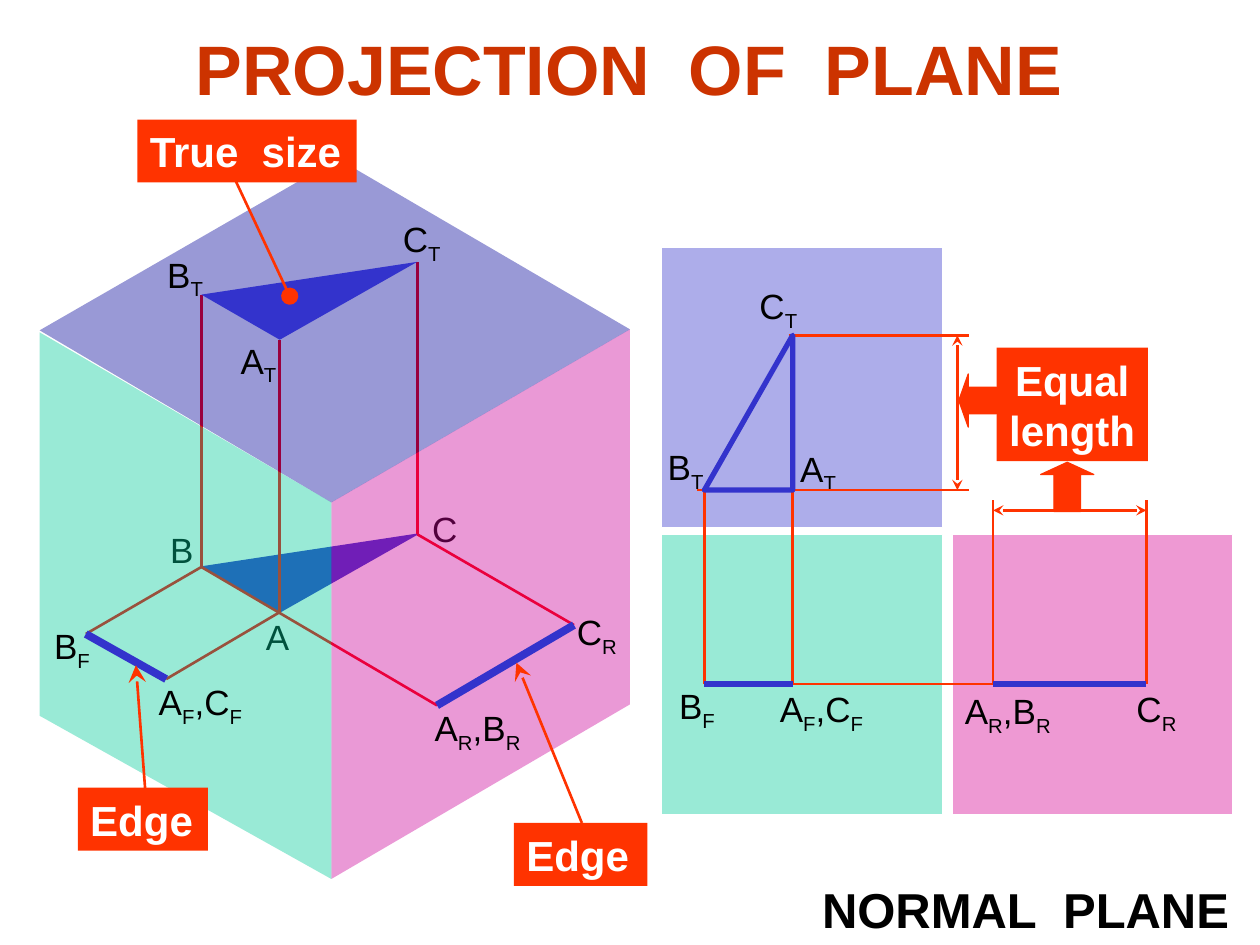
"""Build a slide on the projection of a normal plane."""
from itertools import groupby

from lxml import etree
from pptx import Presentation
from pptx import util as u
from pptx.dml.color import RGBColor
from pptx.enum import shapes, text
from pptx.oxml.ns import qn

COLORS = {
    "title": "CC3300", "accent": "FF3300", "plane": "3333CC", "projector": "FF0000",
    "black": "000000", "white": "FFFFFF", "cube_top": "000099", "cube_right": "CC0099",
    "front": "00CC99", "side": "D60093",
}


def rgb(name):
    """Return the named colour."""
    return RGBColor.from_string(COLORS[name])


def paint(sp, fill=None, line=None, width=0.75, opacity=None):
    """Set fill, outline and opacity in percent, without shadow."""
    sp.shadow.inherit = False
    if fill:
        sp.fill.solid()
        sp.fill.fore_color.rgb = rgb(fill)
    else:
        sp.fill.background()
    if opacity:
        clr = sp.fill._xPr.find(qn("a:solidFill"))[0]
        etree.SubElement(clr, qn("a:alpha")).set("val", str(opacity * 1000))
    if line:
        sp.line.color.rgb = rgb(line)
        sp.line.width = u.Pt(width)
    else:
        sp.line.fill.background()


def style(p, size, color, bold=False, align=None):
    """Format a whole paragraph."""
    p.alignment = align
    p.font.name = "Arial"
    p.font.size = u.Pt(size)
    p.font.bold = bold
    p.font.color.rgb = rgb(color)


class Region:
    """Draw on a slide in centimetres from a region's top left corner."""

    def __init__(self, s, left, top):
        self.shapes, self.left, self.top = s.shapes, left, top

    def at(self, x, y):
        """Return the slide position of a point in the region."""
        return u.Cm(self.left + x), u.Cm(self.top + y)

    def line(self, start, end, color="accent", width=1.5, head=None, tail=None, size="med"):
        """Draw a straight line with optional ends."""
        c = self.shapes.add_connector(shapes.MSO_CONNECTOR.STRAIGHT, *self.at(*start), *self.at(*end))
        c.line.color.rgb = rgb(color)
        c.line.width = u.Pt(width)
        ln = c.line._get_or_add_ln()
        for tag, kind in (("a:headEnd", head), ("a:tailEnd", tail)):
            if kind:
                etree.SubElement(ln, qn(tag), type=kind, w=size, len=size)
        etree.SubElement(c._element.spPr, qn("a:effectLst"))

    def polygon(self, points, **look):
        """Draw a closed outline."""
        first, *rest = [self.at(*pt) for pt in points]
        fb = self.shapes.build_freeform(*first, scale=1.0)
        fb.add_line_segments(rest, close=True)
        paint(fb.convert_to_shape(), **look)

    def block(self, kind, x, y, w, h, **look):
        """Draw a preset shape."""
        sp = self.shapes.add_shape(kind, *self.at(x, y), u.Cm(w), u.Cm(h))
        paint(sp, **look)
        return sp

    def label(self, name, x, y):
        """Write a point name, with its view letters as subscripts."""
        w = {1: 1.1, 2: 1.5}.get(len(name), 2.6)
        tf = self.shapes.add_textbox(*self.at(x, y), u.Cm(w), u.Cm(1.2)).text_frame
        tf.word_wrap = True
        p = tf.paragraphs[0]
        style(p, 20, "black", align=text.PP_ALIGN.LEFT)
        for is_view, letters in groupby(name, key=lambda ch: ch in "FRT"):
            r = p.add_run()
            r.text = "".join(letters)
            if is_view:
                r._r.get_or_add_rPr().set("baseline", "-25000")

    def labels(self, places):
        """Write several point names."""
        for name, x, y in places:
            self.label(name, x, y)

    def callout(self, lines, x, y, w, h=1.27, align=text.PP_ALIGN.LEFT):
        """Draw a red box with bold white text."""
        sp = self.block(shapes.MSO_SHAPE.RECTANGLE, x, y, w, h, fill="accent")
        tf = sp.text_frame
        tf.word_wrap = False
        tf.text = "\n".join(lines)
        for p in tf.paragraphs:
            style(p, 24, "white", True, align)


def draw_cube(s, left, top):
    """Draw the projection box with the plane and its three projections."""
    g = Region(s, left, top)
    rise = 5.49
    a, b, c = (4.84, 9.14), (3.26, 8.23), (7.61, 7.57)
    a_t, b_t, c_t = [(x, y - rise) for x, y in (a, b, c)]
    a_f, b_f, a_r, c_r = (2.55, 10.49), (0.93, 9.58), (8.01, 11.02), (10.77, 9.4)
    center, apex, base = (5.88, 6.93), (6.01, 0), (5.88, 14.52)
    west, east = (0, 3.46), (11.9, 3.44)

    g.polygon([b, a, c], fill="plane", line="plane")
    g.labels([("B", 2.38, 7.32), ("C", 7.66, 6.91), ("A", 4.31, 9.09)])
    for start, end in ((c, c_t), (a, a_f), (b, b_t), (b, a_r), (c, c_r), (b, b_f), (a, a_t)):
        g.line(start, end, "projector")
    for points, color in (
        ([center, east, (11.9, 11), base], "cube_right"),
        ([west, center, east, apex], "cube_top"),
        ([(0, 3.5), center, base, (0, 11.23)], "front"),
    ):
        g.polygon(points, fill=color, opacity=40)

    g.polygon([b_t, a_t, c_t], fill="plane")
    g.line(c_r, a_r, "plane", 4.5)
    g.line(a_f, b_f, "plane", 4.5)
    g.labels([
        ("CR", 10.58, 8.99), ("AR,BR", 7.71, 10.92), ("AF,CF", 2.15, 10.39), ("BF", 0.04, 9.27),
        ("AT", 3.8, 3.51), ("BT", 2.32, 1.78), ("CT", 7.07, 1.07),
    ])
    g.callout(["Edge"], 9.56, 13.39, 2.69)
    g.callout(["Edge"], 0.77, 12.68, 2.62)
    g.callout(["True  size"], 1.97, -0.79, 4.42)
    g.line((10.93, 13.39), (9.61, 10.16), tail="stealth", size="lg")
    g.line((2.15, 13.03), (1.94, 10.21), tail="stealth", size="lg")
    g.line((3.92, 0.38), (5.04, 2.77), tail="oval", size="lg")


def draw_views(s, left, top):
    """Draw the top, front and side views with their equal lengths."""
    g = Region(s, left, top)
    side, step_x, step_y = 5.66, 5.85, 5.79
    x_b, x_a, x_ar, x_cr = 0.86, 2.64, 6.68, 9.77
    y_c, y_a, y_edge = 1.78, 4.9, 8.81
    dim_x, dim_y = 5.96, 5.31

    for x, y, color in ((0, step_y, "front"), (step_x, step_y, "side"), (0, 0, "plane")):
        g.block(shapes.MSO_SHAPE.RECTANGLE, x, y, side, side, fill=color, line="white", opacity=40)
    g.labels([
        ("BF", 0.1, 8.69), ("AF,CF", 2.13, 8.76), ("CR", 9.32, 8.76), ("AR,BR", 5.86, 8.79),
        ("AT", 2.54, 3.91), ("CT", 1.72, 0.63), ("BT", -0.13, 3.88),
    ])
    for start, end in (
        ((x_b, y_edge), (x_ar, y_edge)),
        ((x_a, y_edge), (x_a, y_c)),
        ((x_b, y_edge), (x_b, y_a)),
        ((2.56, y_c), (6.19, y_c)),
        ((0.71, y_a), (6.19, y_a)),
        ((x_ar, y_edge), (x_ar, 5.1)),
        ((x_cr, y_edge), (x_cr, 5.1)),
    ):
        g.line(start, end)
    g.line((dim_x, y_c), (dim_x, y_a), head="stealth", tail="stealth")
    g.line((x_ar, dim_y), (x_cr, dim_y), head="stealth", tail="stealth")
    g.callout(["Equal", "length"], 6.75, 2.03, 3.05, 2.29, text.PP_ALIGN.CENTER)
    for kind, box in (
        (shapes.MSO_SHAPE.UP_ARROW, (7.64, 4.34, 1.07, 0.99)),
        (shapes.MSO_SHAPE.LEFT_ARROW, (5.99, 2.56, 0.76, 1.07)),
    ):
        sp = g.block(kind, *box, fill="accent", line="accent")
        sp.adjustments[0], sp.adjustments[1] = 0.5, 0.25
    g.line((x_a, y_edge), (x_b, y_edge), "plane", 3)
    g.line((x_ar, y_edge), (x_cr, y_edge), "plane", 3)
    g.polygon([(x_b, y_a), (x_a, y_a), (x_a, y_c)], line="plane", width=3)


def place_heading(sp, heading, box, size, color):
    """Place a centred bold heading in a box."""
    sp.left, sp.top, sp.width, sp.height = [u.Cm(v) for v in box]
    tf = sp.text_frame
    tf.word_wrap = True
    tf.text = heading
    style(tf.paragraphs[0], size, color, True, text.PP_ALIGN.CENTER)


def main():
    """Build and save the slide."""
    prs = Presentation()
    prs.slide_width, prs.slide_height = u.Cm(25.4), u.Cm(19.05)
    s = prs.slides.add_slide(prs.slide_layouts[5])
    place_heading(s.shapes.title, "PROJECTION  OF  PLANE", (3.18, 0.38, 19, 1.96), 40, "title")
    draw_cube(s, 0.8, 3.2)
    draw_views(s, 13.34, 4.98)
    caption = s.shapes.add_textbox(0, 0, 0, 0)
    place_heading(caption, "NORMAL  PLANE", (15.95, 17.6, 9.45, 1.45), 28, "black")
    prs.save("out.pptx")


if __name__ == "__main__":
    main()
